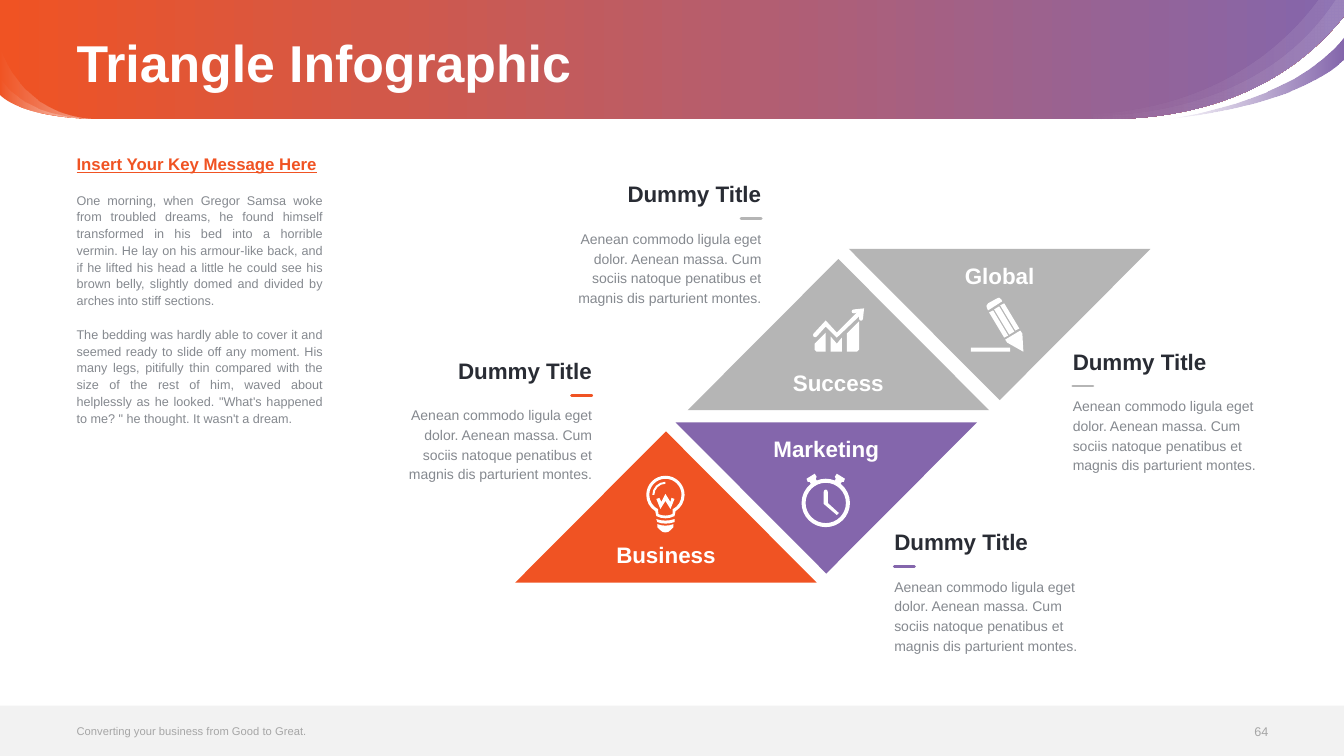
import math
from dataclasses import dataclass
from typing import NamedTuple

import lxml.etree
import pptx
import pptx.dml.color
import pptx.enum.shapes
import pptx.enum.text
import pptx.oxml.ns
import pptx.shapes.autoshape
import pptx.slide
import pptx.util

Inches, Pt, qn = pptx.util.Inches, pptx.util.Pt, pptx.oxml.ns.qn
Align, Anchor = pptx.enum.text.PP_ALIGN, pptx.enum.text.MSO_ANCHOR
# A contour holds (x, y) corners and (x1, y1, x2, y2, x, y) Bezier curves, in inches
Contour = list[tuple[float, ...]]


@dataclass(frozen=True)
class Theme:
    font: str = "Arial"
    orange: str = "F05323"
    purple: str = "8466AC"
    silver: str = "B5B5B5"
    white: str = "FFFFFF"
    dark: str = "292C34"
    body: str = "85898F"
    footer: str = "A6A6A6"
    footer_bar: str = "F2F2F2"
    title_size: float = 37
    heading_size: float = 16
    key_size: float = 12
    note_size: float = 10
    body_size: float = 9
    footer_size: float = 8


THEME = Theme()
Style = NamedTuple("Style", [("size", float), ("color", str), ("bold", bool), ("underline", bool)])
Stop = NamedTuple("Stop", [("position", float), ("color", str), ("opacity", int)])
Ribbon = NamedTuple("Ribbon", [("outline", Contour), ("stops", tuple[Stop, Stop])])
Note = NamedTuple("Note", [("left", float), ("top", float), ("align", Align), ("color", str)])
Triangle = NamedTuple("Triangle", [("label", str), ("left", float), ("top", float),
                                   ("points_up", bool), ("color", str)])

SLIDE_WIDTH, SLIDE_HEIGHT, MARGIN = 13.33, 7.5, 0.76
TRIANGLE_WIDTH, TRIANGLE_HEIGHT = 2.99, 1.5
NOTE_WIDTH, RULE_WIDTH = 1.93, 0.2
BODY = Style(THEME.body_size, THEME.body, False, False)
NOTE_TEXT = ("Aenean commodo ligula eget dolor. Aenean massa. Cum sociis natoque "
             "penatibus et magnis dis parturient montes.")
KEY_MESSAGE = [
    ("Insert Your Key Message Here", Style(THEME.key_size, THEME.orange, True, True)),
    ("One morning, when Gregor Samsa woke from troubled dreams, he found himself transformed in his bed "
     "into a horrible vermin. He lay on his armour-like back, and if he lifted his head a little he could "
     "see his brown belly, slightly domed and divided by arches into stiff sections.", BODY),
    ("The bedding was hardly able to cover it and seemed ready to slide off any moment. His many legs, "
     "pitifully thin compared with the size of the rest of him, waved about helplessly as he looked. "
     "\"What's happened to me? \" he thought. It wasn't a dream.", BODY),
]
# Header ribbons, back to front
RIGHT_SHEEN = (Stop(0.15, THEME.white, 0), Stop(1, THEME.white, 10))
LEFT_SHEEN = (Stop(0, THEME.white, 0), Stop(1, THEME.white, 50))
RIGHT_EDGE: Contour = [(13.33, 0), (13.33, 0.16)]
LEFT_EDGE: Contour = [(0.97, 1.18), (0.18, 1.17, 0, 0.94, 0, 0.94)]
RIBBONS = [
    Ribbon([*RIGHT_EDGE, (12.66, 1, 11.7, 1.17, 11.05, 1.18), *LEFT_EDGE, (0, 0)],
           (Stop(0, THEME.orange, 100), Stop(1, THEME.purple, 100))),
    Ribbon([*RIGHT_EDGE, (12.24, 1.53, 10.39, 1.13, 10.34, 1.12), (10.4, 1.12, 12.32, 1.39, 13.24, 0)],
           RIGHT_SHEEN),
    Ribbon([(11.57, 1.18), (11.57, 1.18, 12.82, 1.03, 13.33, 0.37), (13.33, 0.59),
            (13.33, 0.59, 12.94, 1.04, 11.57, 1.18)], (Stop(0, THEME.purple, 0), Stop(1, THEME.purple, 100))),
    Ribbon([*RIGHT_EDGE, (12.23, 1.55, 10.34, 1.12, 10.34, 1.12), (11.89, 1.22, 12.7, 0.5, 13.07, 0)],
           RIGHT_SHEEN),
    Ribbon([*LEFT_EDGE, (0, 0.76), (0, 0.76, 0.18, 1.17, 0.97, 1.18)], LEFT_SHEEN),
    Ribbon([*LEFT_EDGE, (0, 0.45), (0, 0.45, 0.18, 1.16, 0.97, 1.18)], LEFT_SHEEN),
]
TRIANGLES = [
    Triangle("Business", 5.11, 4.28, True, THEME.orange),
    Triangle("Global", 8.42, 2.47, False, THEME.silver),
    Triangle("Marketing", 6.7, 4.19, False, THEME.purple),
    Triangle("Success", 6.82, 2.57, True, THEME.silver),
]
NOTES = [
    Note(3.94, 3.54, Align.RIGHT, THEME.orange),
    Note(5.62, 1.79, Align.RIGHT, THEME.silver),
    Note(8.87, 5.24, Align.LEFT, THEME.purple),
    Note(10.64, 3.45, Align.LEFT, THEME.silver),
]


def arc(x: float, y: float, radius: float, start: int, end: int) -> Contour:
    """Bezier arc cut at quarter turns; angles in degrees, clockwise from the right."""
    quarters = [a for a in range(-360, 721, 90) if min(start, end) < a < max(start, end)]
    angles = [math.radians(a) for a in sorted([start, *quarters, end], reverse=end < start)]
    contour: Contour = [(x + radius * math.cos(angles[0]), y + radius * math.sin(angles[0]))]
    for a, b in zip(angles, angles[1:]):
        pull = 4 / 3 * math.tan((b - a) / 4)
        units = [(math.cos(a) - pull * math.sin(a), math.sin(a) + pull * math.cos(a)),
                 (math.cos(b) + pull * math.sin(b), math.sin(b) - pull * math.cos(b)),
                 (math.cos(b), math.sin(b))]
        contour.append(tuple(value for u, v in units for value in (x + radius * u, y + radius * v)))
    return contour


# Icons
BULB = [
    [*arc(6.6, 4.91, 0.19, 122, 418), (6.69, 5.12), (6.63, 5.15, 6.57, 5.15, 6.51, 5.12)],
    [*arc(6.6, 4.91, 0.16, 117, 423), (6.67, 5.1), (6.63, 5.12, 6.57, 5.12, 6.53, 5.1)],
    arc(6.6, 4.91, 0.13, 180, 270) + arc(6.6, 4.91, 0.11, 270, 180),
    [(6.65, 4.98), (6.6, 4.9), (6.56, 4.98), (6.54, 4.94), (6.51, 4.95), (6.55, 5.05), (6.6, 4.97),
     (6.65, 5.05), (6.69, 4.95), (6.66, 4.94)],
    [(6.51, 5.15), (6.52, 5.18), (6.57, 5.2, 6.63, 5.2, 6.69, 5.18), (6.69, 5.15),
     (6.63, 5.17, 6.57, 5.17, 6.51, 5.15)],
    [(6.52, 5.2), (6.52, 5.23), (6.55, 5.26), (6.57, 5.29, 6.63, 5.29, 6.65, 5.26), (6.68, 5.23),
     (6.68, 5.2), (6.63, 5.22, 6.57, 5.22, 6.52, 5.2)],
]
CLOCK_X, CLOCK_Y = 8.19, 4.99
LEFT_EAR: Contour = [(8.03, 4.78), (8.01, 4.78), (8, 4.75), (8.08, 4.7), (8.1, 4.73), (8.09, 4.75)]
RIGHT_EAR: Contour = [(2 * CLOCK_X - x, y) for x, y in reversed(LEFT_EAR)]
CLOCK = [
    arc(CLOCK_X, CLOCK_Y, 0.24, -52, 232) + LEFT_EAR + arc(CLOCK_X, CLOCK_Y, 0.24, 248, 292) + RIGHT_EAR,
    arc(CLOCK_X, CLOCK_Y, 0.2, 0, 360),
    [(8.17, 4.88), (8.17, 4.85, 8.21, 4.85, 8.21, 4.88), (8.21, 4.99), (8.32, 5.09), (8.3, 5.11), (8.17, 5)],
]
GROWTH = [
    [(8.24, 3.34), (8.24, 3.49), (8.35, 3.49), (8.35, 3.35), (8.3, 3.41)],
    [(8.08, 3.41), (8.08, 3.47), (8.1, 3.49), (8.19, 3.49), (8.19, 3.3)],
    [(8.4, 3.31), (8.4, 3.49), (8.5, 3.49), (8.52, 3.47), (8.52, 3.19)],
    [(8.47, 3.07), (8.44, 3.07, 8.44, 3.11, 8.47, 3.11), (8.5, 3.1), (8.3, 3.3), (8.19, 3.18), (8.07, 3.31),
     (8.05, 3.33, 8.08, 3.36, 8.1, 3.34), (8.19, 3.24), (8.3, 3.35), (8.52, 3.14), (8.52, 3.16),
     (8.52, 3.19, 8.56, 3.19, 8.56, 3.16), (8.57, 3.06)],
]
PENCIL: list[Contour] = [
    [(9.97, 3.37), (9.99, 3.4), (10.15, 3.49), (10.14, 3.31), (10.12, 3.28)],
    [(10.07, 3.28), (10.11, 3.26), (9.96, 3.01), (9.92, 3.03)],
    [(10.06, 3.29), (9.91, 3.04), (9.86, 3.07), (10.01, 3.32)],
    [(9.81, 3.1), (9.96, 3.35), (10, 3.33), (9.85, 3.08)],
    [(9.8, 3.08), (9.94, 2.99), (9.93, 2.97), (9.92, 2.95, 9.9, 2.95, 9.89, 2.96), (9.8, 3.01),
     (9.78, 3.02, 9.78, 3.05, 9.79, 3.06)],
    [(9.63, 3.49), (10.02, 3.49), (10.02, 3.45), (9.63, 3.45)],
]


def rgb(color: str) -> pptx.dml.color.RGBColor:
    return pptx.dml.color.RGBColor.from_string(color)


def paint(shape: pptx.shapes.autoshape.Shape, color: str) -> None:
    shape.shadow.inherit = False
    shape.line.fill.background()
    shape.fill.solid()
    shape.fill.fore_color.rgb = rgb(color)


def add_outline(slide: pptx.slide.Slide, contours: list[Contour], color: str) -> pptx.shapes.autoshape.Shape:
    corners = [[(Inches(item[-2]), Inches(item[-1])) for item in contour] for contour in contours]
    builder = slide.shapes.build_freeform(*corners[0][0], scale=1.0)
    for index, points in enumerate(corners):
        if index:
            builder.move_to(*points[0])
        builder.add_line_segments(points[1:], close=True)
    shape = builder.convert_to_shape()
    paint(shape, color)
    # Bend the segments that have control points
    segments = list(shape._element.spPr.iter(qn("a:lnTo")))
    for segment, item in zip(segments, (item for contour in contours for item in contour[1:])):
        if len(item) == 6:
            segment.tag = qn("a:cubicBezTo")
            for place in (0, 1):
                control = segment.makeelement(qn("a:pt"))
                control.set("x", str(Inches(item[2 * place]) - shape.left))
                control.set("y", str(Inches(item[2 * place + 1]) - shape.top))
                segment.insert(place, control)
    return shape


def add_ribbon(slide: pptx.slide.Slide, ribbon: Ribbon) -> None:
    shape = add_outline(slide, [ribbon.outline], THEME.white)
    shape.fill.gradient()
    shape.fill.gradient_angle = 0
    for target, stop in zip(shape.fill.gradient_stops, ribbon.stops):
        target.position, target.color.rgb = stop.position, rgb(stop.color)
    for element, stop in zip(shape._element.spPr.iter(qn("a:srgbClr")), ribbon.stops):
        lxml.etree.SubElement(element, qn("a:alpha")).set("val", str(stop.opacity * 1000))


def add_text(slide: pptx.slide.Slide, box: tuple[float, float, float, float], content: list[tuple[str, Style]],
             align: Align = Align.LEFT, anchor: Anchor = Anchor.TOP, line_points: float = 0) -> None:
    frame = slide.shapes.add_textbox(*map(Inches, box)).text_frame
    frame.word_wrap, frame.vertical_anchor = True, anchor
    frame.margin_left = frame.margin_right = frame.margin_top = frame.margin_bottom = 0
    for index, (text, style) in enumerate(content):
        paragraph = frame.add_paragraph() if index else frame.paragraphs[0]
        paragraph.alignment = align
        if line_points:
            paragraph.line_spacing = Pt(line_points)
        paragraph.space_before = Pt(line_points if index else 0)
        run = paragraph.add_run()
        run.text, run.font.name, run.font.size = text, THEME.font, Pt(style.size)
        run.font.bold, run.font.underline, run.font.color.rgb = style.bold, style.underline, rgb(style.color)


def add_triangle(slide: pptx.slide.Slide, triangle: Triangle) -> None:
    left, top, bottom = triangle.left, triangle.top, triangle.top + TRIANGLE_HEIGHT
    base, tip, label_top = (bottom, top, bottom - 0.41) if triangle.points_up else (top, bottom, top + 0.13)
    center = left + TRIANGLE_WIDTH / 2
    add_outline(slide, [[(left, base), (center, tip), (left + TRIANGLE_WIDTH, base)]], triangle.color)
    add_text(slide, (center - NOTE_WIDTH / 2, label_top, NOTE_WIDTH, 0.27),
             [(triangle.label, Style(THEME.heading_size, THEME.white, True, False))], Align.CENTER)


def add_note(slide: pptx.slide.Slide, note: Note) -> None:
    add_text(slide, (note.left, note.top, NOTE_WIDTH, 0.27),
             [("Dummy Title", Style(THEME.heading_size, THEME.dark, True, False))], note.align)
    start = note.left + (NOTE_WIDTH - RULE_WIDTH if note.align == Align.RIGHT else 0)
    ends = map(Inches, (start, note.top + 0.38, start + RULE_WIDTH, note.top + 0.38))
    rule = slide.shapes.add_connector(pptx.enum.shapes.MSO_CONNECTOR.STRAIGHT, *ends)
    rule.line.color.rgb, rule.line.width = rgb(note.color), Pt(2)
    rule._element.spPr.find(qn("a:ln")).set("cap", "rnd")
    lxml.etree.SubElement(rule._element.spPr, qn("a:effectLst"))
    add_text(slide, (note.left, note.top + 0.47, NOTE_WIDTH, 0.79),
             [(NOTE_TEXT, Style(THEME.note_size, THEME.body, False, False))], note.align, line_points=14)


def main() -> None:
    presentation = pptx.Presentation()
    presentation.slide_width, presentation.slide_height = Inches(SLIDE_WIDTH), Inches(SLIDE_HEIGHT)
    slide = presentation.slides.add_slide(presentation.slide_layouts[6])
    # Header
    for ribbon in RIBBONS:
        add_ribbon(slide, ribbon)
    title_style = Style(THEME.title_size, THEME.white, True, False)
    add_text(slide, (MARGIN, 0.05, 11.81, 1.13), [("Triangle Infographic", title_style)], anchor=Anchor.MIDDLE)
    # Footer
    bar_box = map(Inches, (0, 7, SLIDE_WIDTH, 0.5))
    paint(slide.shapes.add_shape(pptx.enum.shapes.MSO_SHAPE.RECTANGLE, *bar_box), THEME.footer_bar)
    footer_style = Style(THEME.footer_size, THEME.footer, False, False)
    add_text(slide, (MARGIN, 7.12, 5.23, 0.26),
             [("Converting your business from Good to Great.", footer_style)], anchor=Anchor.MIDDLE)
    add_text(slide, (11.95, 7.13, 0.63, 0.26), [("64", footer_style._replace(size=THEME.body_size))],
             Align.RIGHT, Anchor.MIDDLE)
    # Key message
    add_text(slide, (MARGIN, 1.56, 2.44, 5.19), KEY_MESSAGE, Align.JUSTIFY, line_points=12)
    # Triangles, icons and notes
    for triangle in TRIANGLES:
        add_triangle(slide, triangle)
    for icon in (BULB, CLOCK, GROWTH, PENCIL):
        add_outline(slide, icon, THEME.white)
    for note in NOTES:
        add_note(slide, note)
    presentation.save("out.pptx")


if __name__ == "__main__":
    main()
